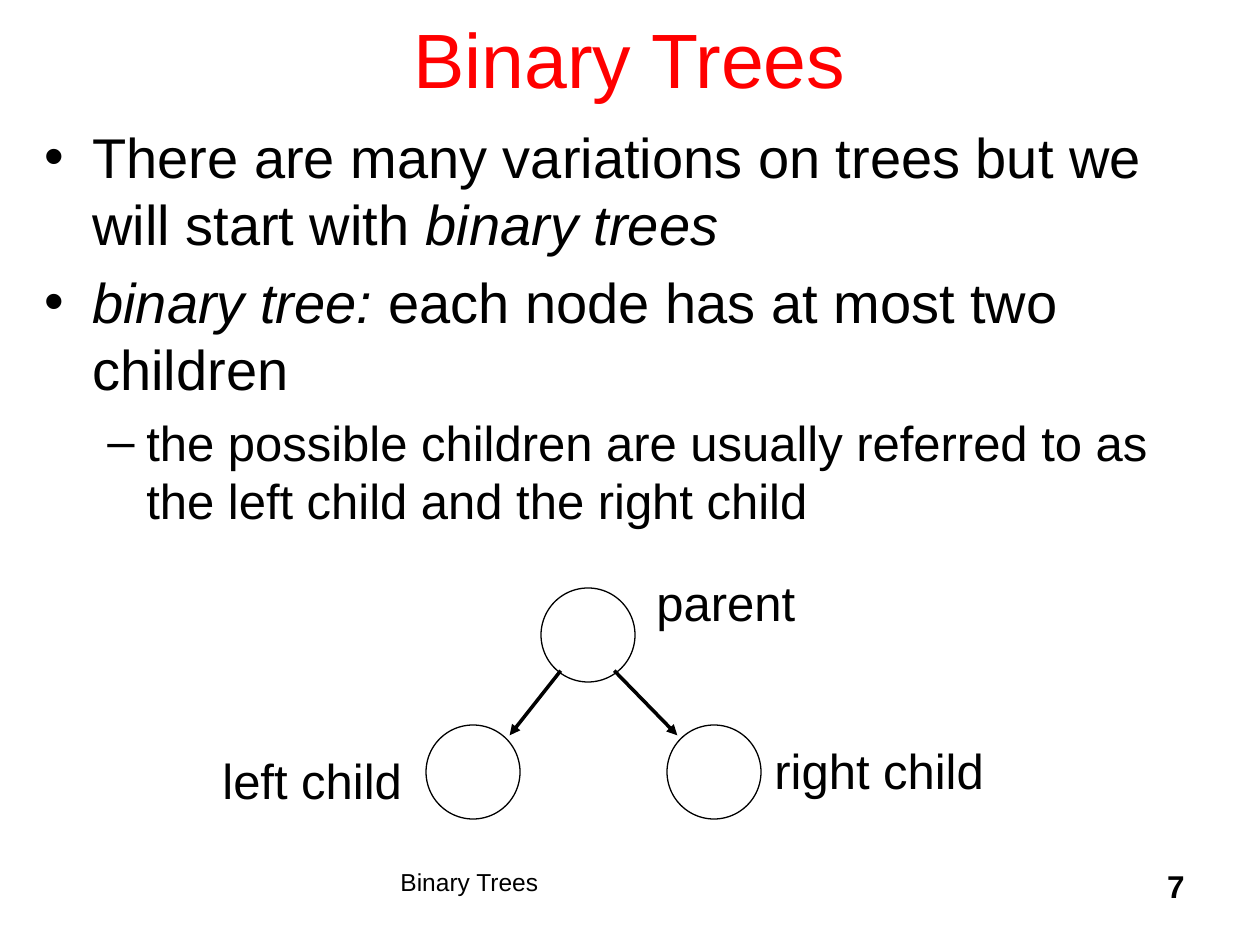
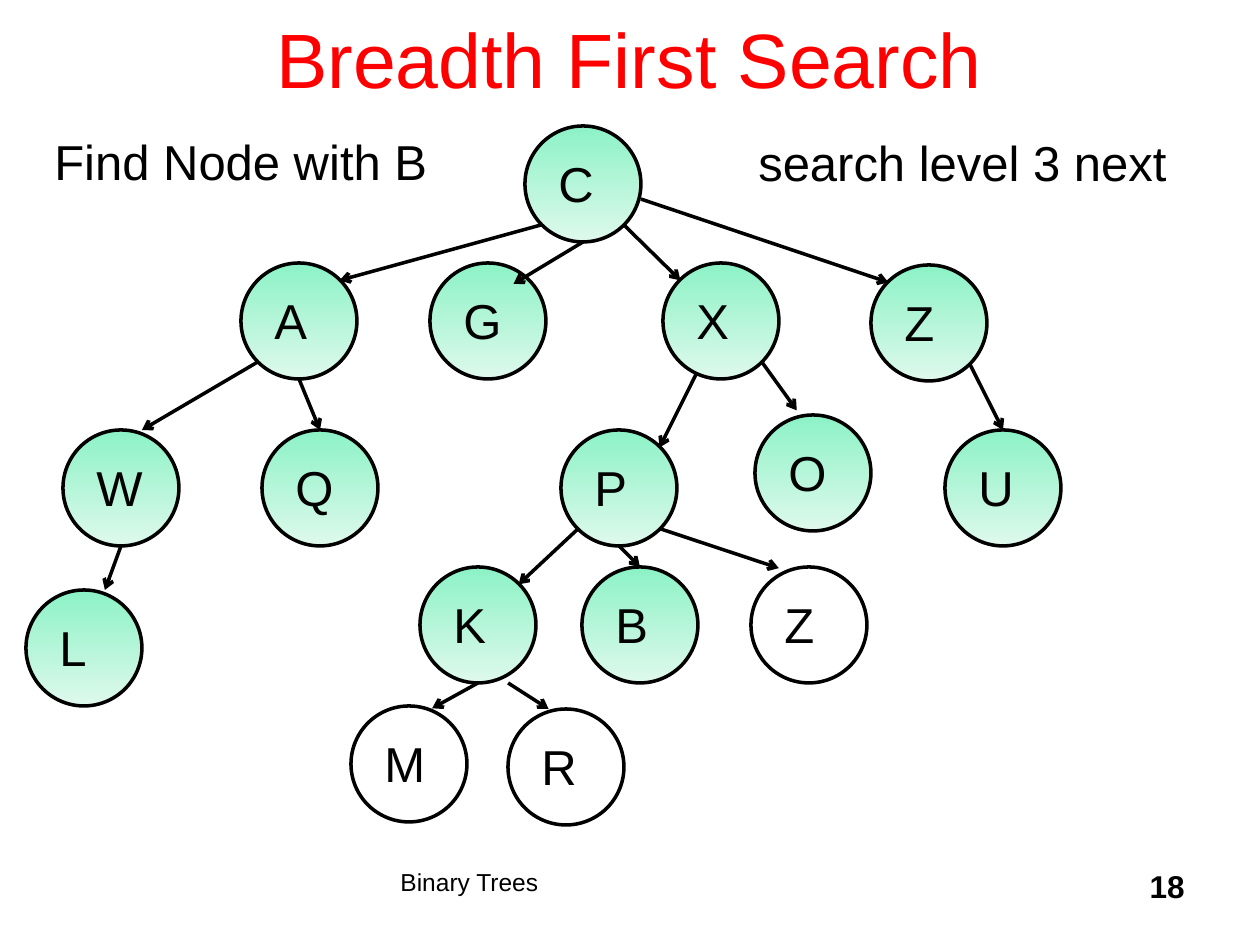
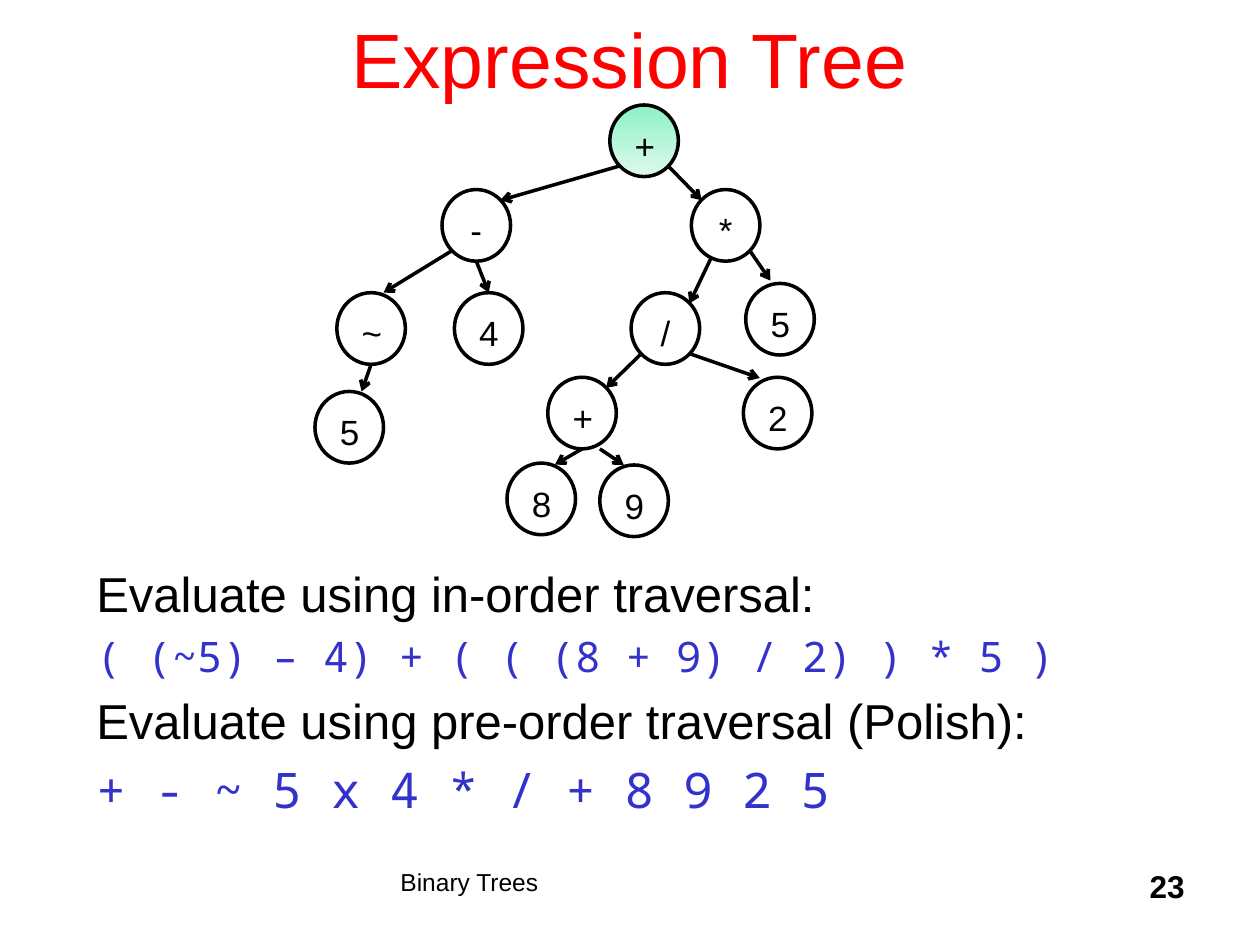
from dataclasses import dataclass

import pptx
import pptx.dml.color
import pptx.enum.shapes
import pptx.enum.text
import pptx.oxml
import pptx.oxml.ns
import pptx.util
from lxml import etree

PX = 914400 / 126
ALIGN = pptx.enum.text.PP_ALIGN
qn = pptx.oxml.ns.qn


@dataclass(frozen=True)
class Theme:
    font: str = "Arial"
    mono: str = "Noto Sans Mono"
    ink: str = "000000"
    title: str = "FF0000"
    code: str = "3333CC"
    visited_top: str = "8CF2C6"
    visited_bottom: str = "DEF9EC"
    title_size: int = 44
    bullet_size: int = 32
    text_size: int = 28
    code_size: int = 24
    small_label_size: int = 20
    number_size: int = 18
    footer_size: int = 14
    thin_line: float = 0.75
    line: float = 2


THEME = Theme()


@dataclass(frozen=True)
class Box:
    left: float
    top: float
    width: float
    height: float

    def emu(self):
        return [emu(v) for v in (self.left, self.top, self.width, self.height)]

    def point(self, anchor):
        """Return the point at the given percentages of width and height."""
        return (self.left + self.width * anchor[0] / 100,
                self.top + self.height * anchor[1] / 100)

    def inside(self, left, top, width, height):
        return Box(self.left + left, self.top + top, width, height)


# Places on a node, in percent of its box
TOP, BOTTOM = (50, 0), (50, 100)
TOP_LEFT, TOP_RIGHT = (15, 15), (85, 15)
BOTTOM_LEFT, BOTTOM_RIGHT = (15, 85), (85, 85)

TITLE_BOX = Box(94, -21, 1071, 158)
FOOTER_BOX = Box(388, 861, 483, 63)
NUMBER_BOX = Box(935, 861, 262, 63)

TREE_SIZE = (1034, 698)
NODE_SIZE = 116
LABEL_INSET = 21
TREE_SLOTS = {
    "root": (499, 0),
    "first": (215, 137), "second": (404, 137),
    "third": (637, 137), "fourth": (845, 139),
    "first left": (37, 304), "first right": (236, 304),
    "third left": (535, 304), "third right": (729, 289),
    "fourth right": (919, 304),
    "leaf": (0, 464),
    "low left": (394, 441), "low middle": (556, 441), "low right": (725, 441),
    "bottom left": (325, 580), "bottom right": (482, 583),
}
TREE_LINKS = [
    ("root", BOTTOM_LEFT, "first", TOP_RIGHT),
    ("root", BOTTOM, "second", (72, 18)),
    ("root", BOTTOM_RIGHT, "third", TOP_LEFT),
    ("root", (100, 63), "fourth", TOP_LEFT),
    ("first", BOTTOM_LEFT, "first left", (68, 0)),
    ("first", BOTTOM, "first right", TOP),
    ("third", (29, 95), "third left", TOP_RIGHT),
    ("third", BOTTOM_RIGHT, "third right", (36, -4)),
    ("fourth", BOTTOM_RIGHT, "fourth right", TOP),
    ("first left", BOTTOM, "leaf", (68, 0)),
    ("third left", BOTTOM_LEFT, "low left", TOP_RIGHT),
    ("third left", BOTTOM, "low middle", TOP),
    ("third left", BOTTOM_RIGHT, "low right", (24, 1)),
    ("low left", BOTTOM, "bottom left", (70, 2)),
    ("low left", (76, 100), "bottom right", (35, 0)),
]


def emu(pixels):
    return pptx.util.Emu(round(pixels * PX))


def rgb(value):
    return pptx.dml.color.RGBColor.from_string(value)


def format_runs(paragraph, size, color=THEME.ink, font=THEME.font, bold=False):
    for run in paragraph.runs:
        run.font.size = pptx.util.Pt(size)
        run.font.name = font
        run.font.bold = bold
        run.font.color.rgb = rgb(color)


def space_before(paragraph, size):
    paragraph.space_before = pptx.util.Pt(size * 0.2)


def add_text_box(slide, box, wrap=True):
    text_frame = slide.shapes.add_textbox(*box.emu()).text_frame
    text_frame.word_wrap = wrap
    if not wrap:
        text_frame.auto_size = pptx.enum.text.MSO_AUTO_SIZE.SHAPE_TO_FIT_TEXT
    return text_frame


def add_label(slide, box, text, size=THEME.text_size, align=None, wrap=True):
    text_frame = add_text_box(slide, box, wrap)
    text_frame.text = text
    paragraph = text_frame.paragraphs[0]
    paragraph.alignment = align
    space_before(paragraph, size)
    format_runs(paragraph, size)


def add_footer(slide, box, text, size, align=ALIGN.LEFT, bold=False):
    text_frame = add_text_box(slide, box)
    text_frame.text = text
    text_frame.paragraphs[0].alignment = align
    format_runs(text_frame.paragraphs[0], size, bold=bold)


def add_titled_slide(presentation, title, number):
    slide = presentation.slides.add_slide(presentation.slide_layouts[5])
    shape = slide.shapes.title
    shape.left, shape.top, shape.width, shape.height = TITLE_BOX.emu()
    shape.text_frame.text = title
    shape.text_frame.vertical_anchor = pptx.enum.text.MSO_ANCHOR.MIDDLE
    shape.text_frame.paragraphs[0].alignment = ALIGN.CENTER
    format_runs(shape.text_frame.paragraphs[0], THEME.title_size, THEME.title)
    add_footer(slide, FOOTER_BOX, "Binary Trees", THEME.footer_size)
    add_footer(slide, NUMBER_BOX, str(number), THEME.number_size, ALIGN.RIGHT, True)
    return slide


def add_node(slide, box, visited=False, line=THEME.line):
    shape = slide.shapes.add_shape(pptx.enum.shapes.MSO_SHAPE.OVAL, *box.emu())
    shape.shadow.inherit = False
    shape.line.color.rgb = rgb(THEME.ink)
    shape.line.width = pptx.util.Pt(line)
    if visited:
        shape.fill.gradient()
        shape.fill.gradient_angle = 270
        for stop, color in zip(shape.fill.gradient_stops,
                               (THEME.visited_top, THEME.visited_bottom)):
            stop.color.rgb = rgb(color)
    else:
        shape.fill.background()


def add_arrow(slide, start, end, head="arrow"):
    connector = slide.shapes.add_connector(
        pptx.enum.shapes.MSO_CONNECTOR.STRAIGHT,
        *[emu(value) for value in (*start, *end)])
    connector.line.color.rgb = rgb(THEME.ink)
    connector.line.width = pptx.util.Pt(THEME.line)
    properties = connector.element.spPr
    etree.SubElement(properties.find(qn("a:ln")), qn("a:tailEnd"), type=head)
    etree.SubElement(properties, qn("a:effectLst"))


def add_tree(slide, box, labels, visited, size, align):
    """Fit the shared tree to the box, keeping only the slots that have labels."""
    scale_x, scale_y = box.width / TREE_SIZE[0], box.height / TREE_SIZE[1]

    def fit(left, top, side):
        return box.inside(left * scale_x, top * scale_y, side * scale_x, side * scale_y)

    nodes = {}
    for slot, label in labels.items():
        left, top = TREE_SLOTS[slot]
        nodes[slot] = fit(left, top, NODE_SIZE)
        add_node(slide, nodes[slot], slot in visited)
        label_box = fit(left + LABEL_INSET, top + LABEL_INSET,
                        NODE_SIZE - 2 * LABEL_INSET)
        add_label(slide, label_box, label, size, align)
    for parent, start, child, end in TREE_LINKS:
        if parent in nodes and child in nodes:
            add_arrow(slide, nodes[parent].point(start), nodes[child].point(end))


def add_bullets(slide, box, bullets):
    """Each bullet is a level and a list of (text, italic) runs."""
    levels = [("•", 48, 48, THEME.bullet_size), ("–", 102, 39, THEME.text_size)]
    text_frame = add_text_box(slide, box)
    for index, (level, runs) in enumerate(bullets):
        paragraph = text_frame.add_paragraph() if index else text_frame.paragraphs[0]
        mark, margin, hanging, size = levels[level]
        paragraph.level = level
        space_before(paragraph, size)
        for text, italic in runs:
            run = paragraph.add_run()
            run.text = text
            run.font.italic = italic
        format_runs(paragraph, size)
        properties = paragraph._p.get_or_add_pPr()
        properties.set("marL", str(emu(margin)))
        properties.set("indent", str(-emu(hanging)))
        etree.SubElement(properties, qn("a:buFont"), typeface=THEME.font)
        etree.SubElement(properties, qn("a:buChar"), char=mark)


def add_family(slide, box):
    parent, left, right = [box.inside(x, y, 94, 94)
                           for x, y in ((319, 22), (204, 159), (445, 159))]
    for node in (parent, left, right):
        add_node(slide, node, line=THEME.thin_line)
    add_arrow(slide, parent.point((21, 88)), left.point((89, 11)), "triangle")
    add_arrow(slide, parent.point((78, 88)), right.point((11, 11)), "triangle")
    for text, x, y, width in (("parent", 422, 0, 165),
                              ("left child", -12, 178, 205),
                              ("right child", 540, 168, 236)):
        add_label(slide, box.inside(x, y, width, 72), text, wrap=False)


def add_traversals(slide, box):
    lines = [
        ("Evaluate using in-order traversal:", THEME.text_size, False),
        ("( (~5) – 4) + ( ( (8 + 9) / 2) ) * 5 )", THEME.code_size, True),
        ("Evaluate using pre-order traversal (Polish):", THEME.text_size, False),
        ("+ - ~ 5 x 4 * / + 8 9 2 5", THEME.text_size, True),
    ]
    text_frame = add_text_box(slide, box)
    text_frame.text = "\n".join(text for text, _, _ in lines)
    for paragraph, (_, size, is_code) in zip(text_frame.paragraphs, lines):
        space_before(paragraph, size)
        if is_code:
            format_runs(paragraph, size, THEME.code, THEME.mono)
        else:
            format_runs(paragraph, size)


def build_definition(presentation):
    slide = add_titled_slide(presentation, "Binary Trees", 7)
    add_bullets(slide, Box(32, 116, 1197, 756), [
        (0, [("There are many variations on trees but we will start with ", False),
             ("binary trees", True)]),
        (0, [("binary tree: ", True), ("each node has at most two children", False)]),
        (1, [("the possible children are usually referred to as "
              "the left child and the right child", False)]),
    ])
    add_family(slide, Box(222, 566, 776, 253))


def build_search(presentation):
    slide = add_titled_slide(presentation, "Breadth First Search", 18)
    labels = dict(zip(TREE_SLOTS, "CAGXZWQPOULKBZMR"))
    visited = set(labels) - {"low right", "bottom left", "bottom right"}
    add_tree(slide, Box(26, 126, *TREE_SIZE), labels, visited,
             THEME.text_size, ALIGN.LEFT)
    add_label(slide, Box(746, 126, 582, 72), "search level 3 next")
    add_label(slide, Box(42, 125, 403, 72), "Find Node with B", wrap=False)


def build_expression(presentation):
    slide = add_titled_slide(presentation, "Expression Tree", 23)
    labels = {
        "root": "+", "first": "-", "third": "*",
        "first left": "~", "first right": "4",
        "third left": "/", "third right": "5",
        "low left": "+", "low right": "2", "leaf": "5",
        "bottom left": "8", "bottom right": "9",
    }
    add_tree(slide, Box(315, 105, 611, 431), labels, {"root"},
             THEME.small_label_size, ALIGN.CENTER)
    add_traversals(slide, Box(84, 557, 1040, 276))


def main():
    presentation = pptx.Presentation()
    presentation.slide_width = emu(1260)
    presentation.slide_height = emu(945)
    build_definition(presentation)
    build_search(presentation)
    build_expression(presentation)
    presentation.save("out.pptx")


if __name__ == "__main__":
    main()
